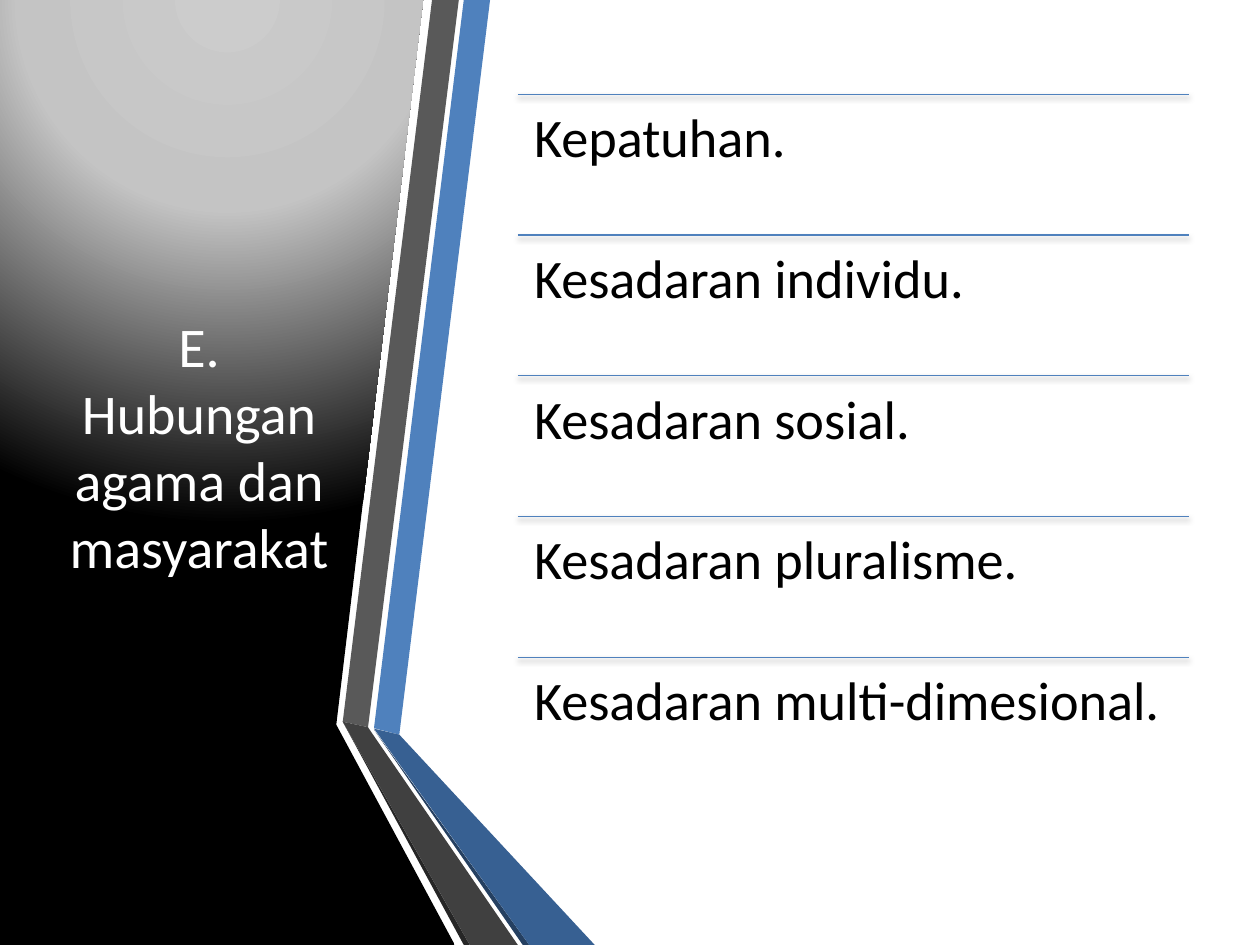
from lxml import etree
from pptx import Presentation
from pptx.dml.color import RGBColor
from pptx.enum.shapes import MSO_CONNECTOR
from pptx.enum.text import MSO_ANCHOR, PP_ALIGN
from pptx.oxml import parse_xml
from pptx.oxml.ns import nsdecls, qn
from pptx.util import Cm, Pt

LINE = MSO_CONNECTOR.STRAIGHT
TOP, MIDDLE = MSO_ANCHOR.TOP, MSO_ANCHOR.MIDDLE
LEFT, CENTER = PP_ALIGN.LEFT, PP_ALIGN.CENTER

WHITE = RGBColor(0xFF, 0xFF, 0xFF)
BLACK = RGBColor(0x00, 0x00, 0x00)
BLUE = RGBColor(0x4F, 0x81, 0xBD)
STEEL = RGBColor(0x37, 0x60, 0x92)
NAVY = RGBColor(0x25, 0x40, 0x61)
GREY = RGBColor(0x59, 0x59, 0x59)
DARK = RGBColor(0x40, 0x40, 0x40)
COAL = RGBColor(0x26, 0x26, 0x26)
LIGHT = RGBColor(0xCC, 0xCC, 0xCC)
SILVER = RGBColor(0xC4, 0xC4, 0xC4)

WIDE, HIGH = 25.4, 19.05
TITLE = "E. Hubungan agama dan masyarakat"
ITEMS = [
    "Kepatuhan.",
    "Kesadaran individu.",
    "Kesadaran sosial.",
    "Kesadaran pluralisme.",
    "Kesadaran multi-dimesional.",
]

# Outlines in cm, relative to the top left of their region
PANEL = [(0, 0), (8.53, 0), (6.78, 14.61), (9.17, HIGH), (0, HIGH)]
FACETS = [
    (BLUE, [(0.63, 14.68), (1.14, 14.81), (2.97, 0), (2.44, 0)]),
    (GREY, [(2.34, 0), (1.8, 0), (0, 14.55), (0.51, 14.66)]),
    (COAL, [(0, 14.55), (2.44, HIGH), (2.56, HIGH)]),
    (NAVY, [(0.63, 14.71), (3.63, HIGH), (3.76, HIGH)]),
    (STEEL, [(0.63, 14.69), (3.76, HIGH), (5.08, HIGH), (1.14, 14.81)]),
    (DARK, [(3.53, HIGH), (0.61, 14.81), (0.51, 14.66), (0, 14.55),
            (2.56, HIGH)]),
]


def add_poly(shapes, x, y, points):
    """Closed outline without a border."""
    spots = [(Cm(x + px), Cm(y + py)) for px, py in points]
    pen = shapes.build_freeform(*spots[0])
    pen.add_line_segments(spots[1:], close=True)
    shape = pen.convert_to_shape()
    shape.shadow.inherit = False
    shape.line.fill.background()
    return shape


def add_text(shapes, box, text, size, color, frame, para):
    """Text box with one formatted paragraph."""
    body = shapes.add_textbox(*map(Cm, box)).text_frame
    line = body.paragraphs[0]
    line.text = text
    font = {"name": "Calibri", "size": Pt(size)}
    for item, look in ((body, frame), (line, para), (line.font, font)):
        for key, value in look.items():
            setattr(item, key, value)
    line.font.color.rgb = color


def add_panel(shapes, x, y):
    """Dark left panel lit from above."""
    shape = add_poly(shapes, x, y, PANEL)
    shape.fill.background()
    stops = "".join(
        f'<a:gs pos="{pos * 1000}"><a:srgbClr val="{color}"/></a:gs>'
        for pos, color in ((0, LIGHT), (40, SILVER), (100, BLACK)))
    glow = parse_xml(
        f'<a:gradFill {nsdecls("a")} rotWithShape="1"><a:gsLst>{stops}</a:gsLst>'
        '<a:path path="circle"><a:fillToRect l="50000" t="-80000" '
        'r="50000" b="180000"/></a:path></a:gradFill>')
    props = shape.element.spPr
    props.replace(props.find(qn("a:noFill")), glow)


def add_facets(shapes, x, y):
    """Folded ribbons along the panel edge."""
    group = shapes.add_group_shape().shapes
    for color, points in FACETS:
        fill = add_poly(group, x, y, points).fill
        fill.solid()
        fill.fore_color.rgb = color


def add_rule(shapes, x, y, w):
    """Thin blue line with a soft shadow below it."""
    rule = shapes.add_connector(LINE, Cm(x), Cm(y), Cm(x + w), Cm(y))
    rule.line.color.rgb = BLUE
    rule.line.width = Pt(0.75)
    effects = etree.SubElement(rule.element.spPr, qn("a:effectLst"))
    effects.append(parse_xml(
        f'<a:outerShdw {nsdecls("a")} blurRad="{Pt(3.1)}" dist="{Pt(1.8)}" '
        f'dir="5400000" rotWithShape="0"><a:srgbClr val="{BLACK}">'
        '<a:alpha val="35000"/></a:srgbClr></a:outerShdw>'))


def add_list(shapes, x, y, w, h):
    """Ruled list with rows of equal height."""
    group = shapes.add_group_shape().shapes
    row = h / len(ITEMS)
    sides = ("left", "top", "right", "bottom")
    frame = {f"margin_{side}": Cm(0.33) for side in sides}
    frame.update(word_wrap=True, vertical_anchor=TOP)
    para = {"alignment": LEFT, "line_spacing": 0.9}
    for i, item in enumerate(ITEMS):
        top = y + i * row
        add_rule(group, x, top, w)
        add_text(group, (x, top, w, row), item, 31, BLACK, frame, para)


def main():
    deck = Presentation()
    deck.slide_width, deck.slide_height = Cm(WIDE), Cm(HIGH)
    slide = deck.slides.add_slide(deck.slide_layouts[6])
    back = slide.background.fill
    back.solid()
    back.fore_color.rgb = WHITE

    shapes = slide.shapes
    add_panel(shapes, 0, 0)
    add_facets(shapes, 6.91, 0)
    add_text(shapes, (1.12, 1.9, 5.79, 14.17), TITLE, 32, WHITE,
             {"word_wrap": True, "vertical_anchor": MIDDLE},
             {"alignment": CENTER})
    add_list(shapes, 10.44, 1.9, 13.53, 14.19)
    deck.save("out.pptx")


if __name__ == "__main__":
    main()
